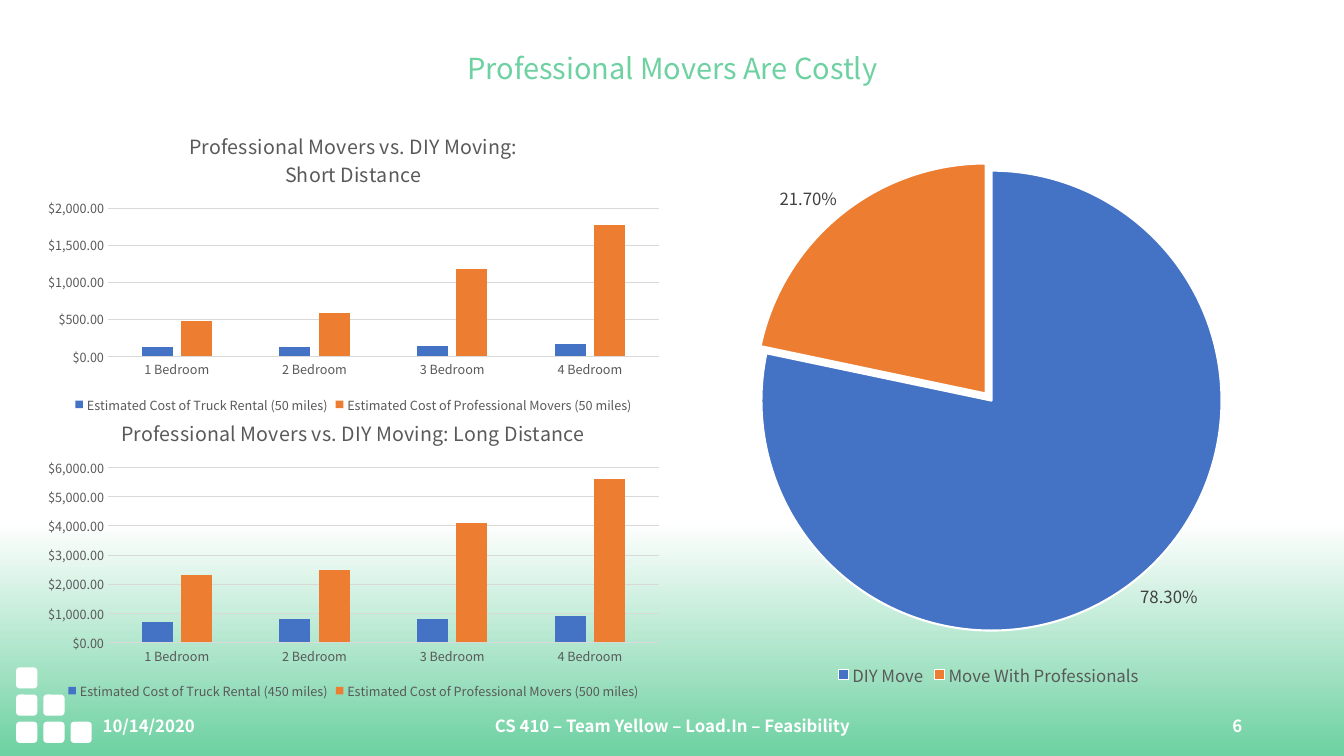
from lxml import etree
from pptx import Presentation
from pptx.chart.data import CategoryChartData
from pptx.dml.color import RGBColor
from pptx.enum.chart import XL_CHART_TYPE as ChartType
from pptx.enum.chart import XL_LABEL_POSITION as LabelPosition
from pptx.enum.chart import XL_LEGEND_POSITION as LegendPosition
from pptx.enum.chart import XL_TICK_MARK as TickMark
from pptx.enum.shapes import MSO_SHAPE as Shape
from pptx.enum.text import MSO_ANCHOR as Anchor
from pptx.enum.text import PP_ALIGN as Align
from pptx.oxml.ns import qn
from pptx.util import Inches, Pt

COLORS = {
    "white": "FFFFFF",
    "green": "6DD1A1",
    "blue": "4472C4",
    "orange": "ED7D31",
    "gray": "595959",
    "dark gray": "404040",
    "grid": "D9D9D9",
}
FONT = "Noto Sans CJK KR"
BEDROOMS = ["1 Bedroom", "2 Bedroom", "3 Bedroom", "4 Bedroom"]


def color(name):
    return RGBColor.from_string(COLORS[name])


def format_font(font, size, color_name, bold=False):
    font.name = FONT
    font.size = Pt(size)
    font.bold = bold
    font.color.rgb = color(color_name)


def write_text(frame, text, size=12, color_name="white", bold=False,
               align=Align.LEFT, line_spacing=None):
    frame.word_wrap = True
    frame.vertical_anchor = Anchor.MIDDLE
    paragraph = frame.paragraphs[0]
    paragraph.alignment = align
    paragraph.line_spacing = line_spacing
    run = paragraph.add_run()
    run.text = text
    format_font(run.font, size, color_name, bold)


def paint_background(slide):
    fill = slide.background.fill
    fill.gradient()
    fill.gradient_angle = 270
    for stop, position, name in zip(fill.gradient_stops, (0.69, 1), ("white", "green")):
        stop.position = position
        stop.color.rgb = color(name)


def add_corner_squares(slide, left, top, size=0.21, step=0.27):
    """Stack rows of one, two and three squares like a staircase."""
    for row in range(3):
        for column in range(row + 1):
            square = slide.shapes.add_shape(
                Shape.ROUNDED_RECTANGLE, Inches(left + column * step),
                Inches(top + row * step), Inches(size), Inches(size))
            square.shadow.inherit = False
            square.fill.solid()
            square.fill.fore_color.rgb = color("white")
            square.line.fill.background()


def add_title(slide, left, top, width, height):
    title = slide.shapes.title
    title.left, title.top = Inches(left), Inches(top)
    title.width, title.height = Inches(width), Inches(height)
    write_text(title.text_frame, "Professional Movers Are Costly", size=20.7,
               color_name="green", align=Align.CENTER, line_spacing=0.9)


def add_footer(slide, left, top, height):
    parts = [
        (0, 3, "10/14/2020", Align.LEFT),
        (3.5, 4.5, "CS 410 – Team Yellow – Load.In – Feasibility", Align.CENTER),
        (8.5, 3, "6", Align.RIGHT),
    ]
    for offset, width, text, align in parts:
        box = slide.shapes.add_textbox(
            Inches(left + offset), Inches(top), Inches(width), Inches(height))
        write_text(box.text_frame, text, bold=True, align=align)


def add_chart(slide, chart_type, box, categories, series, legend_size):
    data = CategoryChartData()
    data.categories = categories
    for name, values in series:
        data.add_series(name, values)
    frame = slide.shapes.add_chart(chart_type, *map(Inches, box), data)
    chart = frame.chart
    format_font(chart.font, 10, "gray")
    chart.has_title = False
    chart.has_legend = True
    chart.legend.position = LegendPosition.BOTTOM
    chart.legend.include_in_layout = False
    format_font(chart.legend.font, legend_size, "gray")
    return chart


def add_cost_chart(slide, box, title, series, maximum=None):
    chart = add_chart(slide, ChartType.COLUMN_CLUSTERED, box, BEDROOMS, series, 9)
    chart.has_title = True
    title_frame = chart.chart_title.text_frame
    title_frame.text = title
    for paragraph in title_frame.paragraphs:
        format_font(paragraph.runs[0].font, 14, "gray")

    plot = chart.plots[0]
    plot.vary_by_categories = False
    plot.gap_width = 219
    plot.overlap = -27
    for bars, name in zip(plot.series, ("blue", "orange")):
        bars.invert_if_negative = False
        bars.format.fill.solid()
        bars.format.fill.fore_color.rgb = color(name)

    for axis in (chart.category_axis, chart.value_axis):
        axis.major_tick_mark = axis.minor_tick_mark = TickMark.NONE
        format_font(axis.tick_labels.font, 9, "gray")
    costs = chart.value_axis
    costs.minimum_scale = 0
    costs.maximum_scale = maximum
    costs.has_major_gridlines = True
    costs.tick_labels.number_format = "\\$#,##0.00"
    costs.tick_labels.number_format_is_linked = False
    costs.format.line.fill.background()
    for line in (chart.category_axis.format.line, costs.major_gridlines.format.line):
        line.color.rgb = color("grid")
        line.width = Pt(0.75)


def add_share_pie(slide, box):
    chart = add_chart(slide, ChartType.PIE, box, ["DIY Move", "Move With Professionals"],
                      [("Series 1", [78.3, 21.7])], 12)
    shares = chart.plots[0].series[0]
    for index, name in enumerate(("blue", "orange")):
        wedge = shares.points[index].format
        wedge.fill.solid()
        wedge.fill.fore_color.rgb = color(name)
        wedge.line.color.rgb = color("white")
        wedge.line.width = Pt(1.5)
    explosion = etree.Element(qn("c:explosion"), val="2")
    shares._element.find(qn("c:dPt")).addprevious(explosion)

    labels = shares.data_labels
    labels.show_value = False
    labels.show_percentage = True
    labels.number_format = "0.00%"
    labels.number_format_is_linked = False
    labels.position = LabelPosition.OUTSIDE_END
    format_font(labels.font, 12, "dark gray")


def main():
    presentation = Presentation()
    presentation.slide_width = Inches(13.33)
    presentation.slide_height = Inches(7.5)
    slide = presentation.slides.add_slide(presentation.slide_layouts[5])
    paint_background(slide)
    add_corner_squares(slide, 0.16, 6.62)
    add_title(slide, 0.92, 0.4, 11.5, 0.59)
    add_footer(slide, 0.92, 6.9, 0.6)
    add_cost_chart(
        slide, (0.35, 1.14, 6.31, 3),
        "Professional Movers vs. DIY Moving:\nShort Distance",
        [("Estimated Cost of Truck Rental (50 miles)", [130, 130, 140, 160]),
         ("Estimated Cost of Professional Movers (50 miles)", [480, 580, 1180, 1770])],
        maximum=2000)
    add_cost_chart(
        slide, (0.35, 3.98, 6.31, 3),
        "Professional Movers vs. DIY Moving: Long Distance",
        [("Estimated Cost of Truck Rental (450 miles)", [700, 800, 800, 900]),
         ("Estimated Cost of Professional Movers (500 miles)", [2300, 2500, 4100, 5600])])
    add_share_pie(slide, (6.97, 1.42, 5.67, 5.44))
    presentation.save("out.pptx")


if __name__ == "__main__":
    main()
